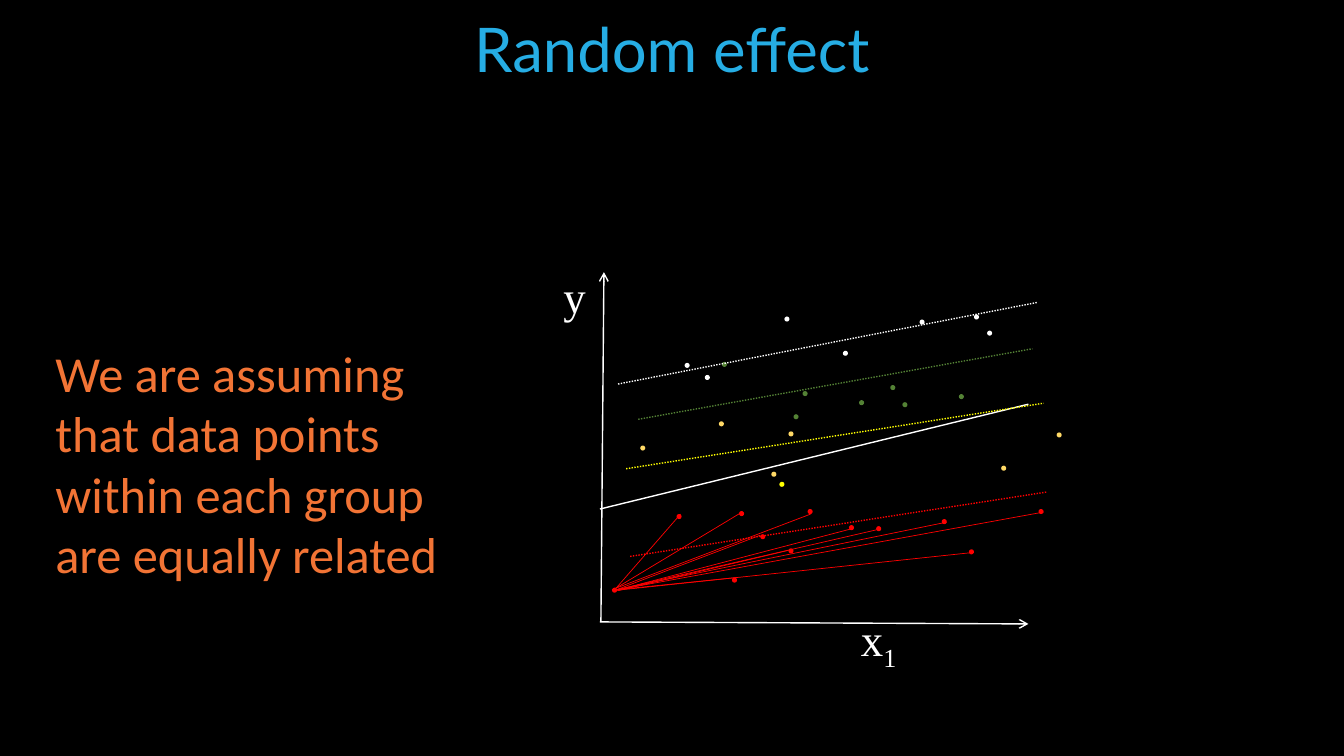
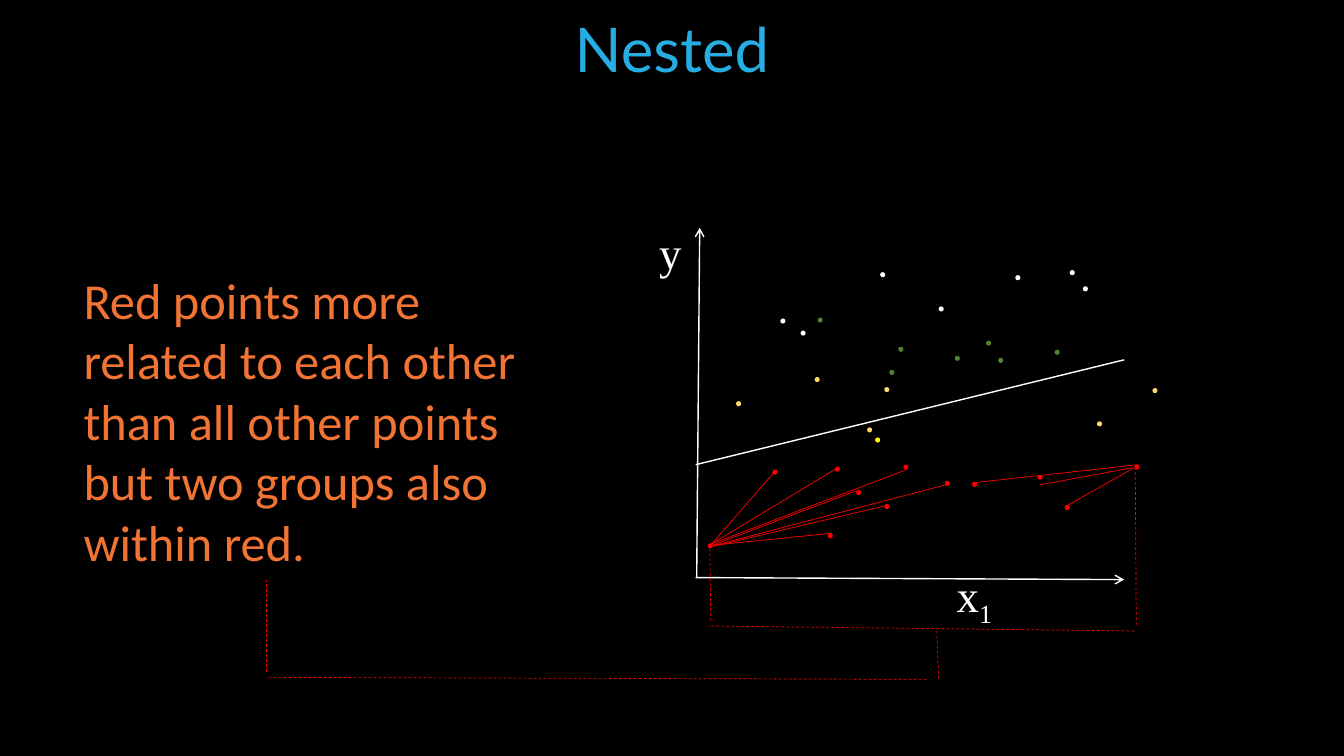
"""Build two slides on random effects and nested groups of points."""
from dataclasses import dataclass
from lxml.etree import SubElement
from pptx import Presentation
from pptx.dml.color import RGBColor as Rgb
from pptx.enum.dml import MSO_LINE as Dash
from pptx.enum.shapes import MSO_CONNECTOR as Conn, MSO_SHAPE as Shape
from pptx.enum.text import MSO_ANCHOR as Anchor, MSO_AUTO_SIZE as Fit, PP_ALIGN as Align
from pptx.oxml.ns import qn
from pptx.util import Inches, Pt


@dataclass(frozen=True)
class Theme:
    black: Rgb = Rgb.from_string("000000")
    white: Rgb = Rgb.from_string("FFFFFF")
    red: Rgb = Rgb.from_string("FF0000")
    green: Rgb = Rgb.from_string("548235")
    gold: Rgb = Rgb.from_string("FFD966")
    yellow: Rgb = Rgb.from_string("FFFF00")
    blue: Rgb = Rgb.from_string("26ADE4")
    orange: Rgb = Rgb.from_string("F27435")
    head: Pt = Pt(44)
    body: Pt = Pt(36)
    label: Pt = Pt(32)
    thick: Pt = Pt(1)
    thin: Pt = Pt(0.5)


T = Theme()
HEAD = ({"name": "Lato", "size": T.head}, T.blue)
BODY = ({"name": "Calibri", "size": T.body}, T.orange)
LABEL = ({"name": "Times New Roman", "size": T.label}, T.white)
FRAME = {"auto_size": Fit.NONE, "vertical_anchor": Anchor.TOP}


def write(frame, text, look, wrap=True, sub=""):
    for key, val in {**FRAME, "word_wrap": wrap}.items():
        setattr(frame, key, val)
    form, tint = look
    para = frame.paragraphs[0]
    for part in filter(None, (text, sub)):
        run = para.add_run()
        run.text = part
        for key, val in form.items():
            setattr(run.font, key, val)
        run.font.color.rgb = tint
    if sub:
        run._r.get_or_add_rPr().set("baseline", "-25000")
    return para


def rule(slide, ends, tint, width=T.thick, dash=None, tip=None, dx=0, dy=0):
    x1, y1, x2, y2 = ends
    line = slide.shapes.add_connector(
        Conn.STRAIGHT, Inches(x1 + dx), Inches(y1 + dy), Inches(x2 + dx), Inches(y2 + dy))
    line.line.color.rgb = tint
    for key, val in {"width": width, "dash_style": dash}.items():
        setattr(line.line, key, val)
    if tip:
        SubElement(line.line._ln, qn(f"a:{tip}"), type="arrow")
    SubElement(line._element.spPr, qn("a:effectLst"))


DOT = 0.05
DOTS = [
    (T.white, [(6.79, 3.6), (8.36, 3.48), (6.99, 3.72), (7.78, 3.14),
               (9.12, 3.17), (9.66, 3.12), (9.79, 3.28)]),
    (T.green, [(8.83, 3.82), (8.95, 3.99), (7.87, 4.11), (7.16, 3.59),
               (8.52, 3.97), (7.96, 3.88), (9.51, 3.91)]),
    (T.gold, [(6.35, 4.42), (7.65, 4.68), (7.82, 4.28), (7.13, 4.18),
              (9.93, 4.62), (10.48, 4.29)]),
    (T.yellow, [(7.73, 4.78)]),
    (T.red, [(7.54, 5.3), (8.42, 5.21), (6.71, 5.1), (6.07, 5.83), (7.26, 5.73),
             (8.69, 5.22), (7.33, 5.07), (8.01, 5.05), (7.82, 5.44), (9.34, 5.15),
             (9.61, 5.45), (10.3, 5.05)]),
]
AXES = [((5.99, 2.7, 5.96, 6.17), "headEnd"), ((5.95, 5.05, 10.2, 4.01), None),
        ((5.95, 6.17, 10.2, 6.19), "tailEnd")]
NAMES = [("y", "", (5.49, 2.62, 0.43, 0.64)), ("x", "1", (8.44, 6.02, 0.59, 0.64))]
FITS = [(T.white, (6.13, 3.81, 10.29, 3)), (T.green, (6.33, 4.16, 10.24, 3.46)),
        (T.yellow, (6.21, 4.65, 10.35, 4)), (T.red, (6.25, 5.52, 10.39, 4.88))]
NEAR = [(6.08, 5.87, 6.75, 5.1), (6.1, 5.84, 7.36, 5.08), (6.12, 5.85, 7.3, 5.73),
        (6.09, 5.86, 7.54, 5.31), (6.13, 5.86, 7.82, 5.46), (6.07, 5.85, 8.04, 5.1),
        (6.1, 5.86, 8.43, 5.25)]
FAR = [(6.12, 5.85, 8.72, 5.25), (6.11, 5.85, 9.39, 5.18),
       (6.08, 5.86, 9.66, 5.48), (6.13, 5.85, 10.35, 5.08)]
SPLIT = [(9.61, 5.47, 10.3, 5.08), (8.7, 5.23, 10.34, 5.05), (9.37, 5.25, 10.28, 5.08)]
LINKS = [(7.05, 6.16, 7.04, 5.42), (11.27, 6.2, 11.26, 4.66), (11.25, 6.26, 7.02, 6.21),
         (9.31, 6.73, 9.29, 6.23), (9.19, 6.74, 2.64, 6.72), (2.64, 6.67, 2.64, 5.75)]
PAGES = [
    ("Random effect", "We are assuming that data points within each group are equally related",
     (0.45, 3.34, 4.52, 2.52), (0, 0), FITS, NEAR + FAR, []),
    ("Nested", "Red points more related to each other than all other points "
     "but two groups also within red.",
     (0.73, 2.62, 4.52, 3.13), (0.95, -0.44), [], NEAR + SPLIT, LINKS),
]

prs = Presentation()
prs.slide_width, prs.slide_height = Inches(13.33), Inches(7.5)
back = prs.slide_master.background.fill
back.solid()
back.fore_color.rgb = T.black

for head, body, area, (dx, dy), fits, spokes, links in PAGES:
    slide = prs.slides.add_slide(prs.slide_layouts[5])
    title = slide.shapes.title
    spot = dict(zip(("left", "top", "width", "height"), map(Inches, (0, 0.06, 13.33, 0.84))))
    for key, val in spot.items():
        setattr(title, key, val)
    write(title.text_frame, head, HEAD).alignment = Align.CENTER

    for name, sub, (x, y, w, h) in NAMES:
        box = slide.shapes.add_textbox(*map(Inches, (x + dx, y + dy, w, h)))
        write(box.text_frame, name, LABEL, wrap=False, sub=sub)
    for ends, tip in AXES:
        rule(slide, ends, T.white, tip=tip, dx=dx, dy=dy)

    for tint, spots in DOTS:
        for x, y in spots:
            dot = slide.shapes.add_shape(
                Shape.OVAL, Inches(x + dx), Inches(y + dy), Inches(DOT), Inches(DOT))
            dot.shadow.inherit = False
            dot.fill.solid()
            dot.fill.fore_color.rgb = tint
            dot.line.fill.background()

    for tint, ends in fits:
        rule(slide, ends, tint, dash=Dash.ROUND_DOT, dx=dx, dy=dy)
    for ends in spokes:
        rule(slide, ends, T.red, T.thin, dx=dx, dy=dy)
    for ends in links:
        rule(slide, ends, T.red, T.thin, Dash.DASH)

    note = slide.shapes.add_textbox(*map(Inches, area))
    write(note.text_frame, body, BODY)

prs.save("out.pptx")
